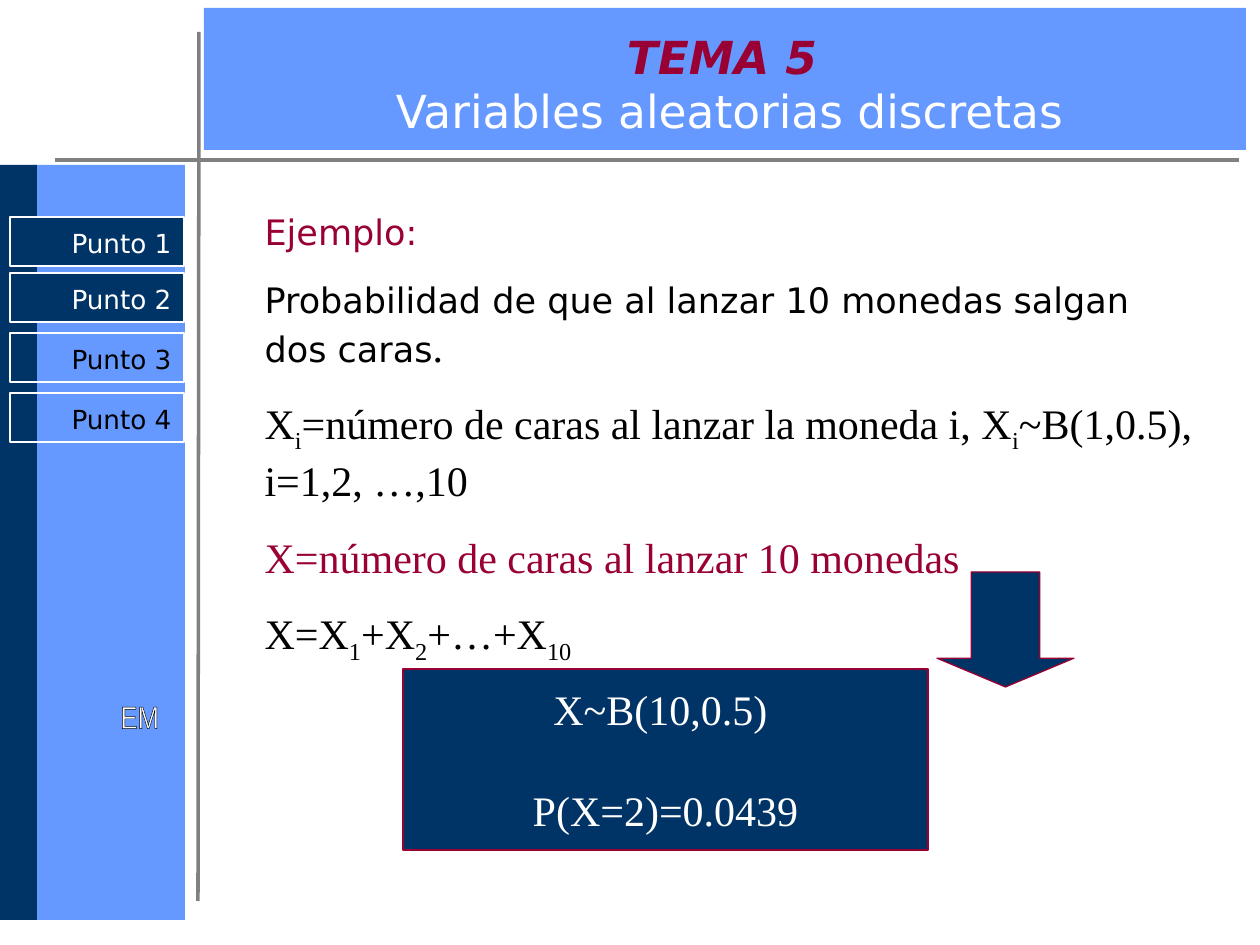
from dataclasses import dataclass
from typing import Optional

from lxml.etree import SubElement
from pptx import Presentation
from pptx.dml.color import RGBColor
from pptx.enum.shapes import MSO_CONNECTOR, MSO_SHAPE
from pptx.enum.text import MSO_ANCHOR, MSO_AUTO_SIZE, PP_ALIGN
from pptx.oxml.ns import qn
from pptx.util import Emu, Pt

PX = 914400 / 126  # EMU in one px
COLORS = {
    "navy": "003366",
    "blue": "6699FF",
    "wine": "990033",
    "gray": "808080",
    "white": "FFFFFF",
    "black": "000000",
}
SANS, SERIF, NARROW = "DejaVu Sans", "Times New Roman", "Arial Narrow"


@dataclass(frozen=True)
class Box:
    x: int
    y: int
    w: int
    h: int
    fill: Optional[str] = None
    line: Optional[str] = None
    kind: MSO_SHAPE = MSO_SHAPE.RECTANGLE


@dataclass(frozen=True)
class Span:
    text: str
    size: int = 24
    font: str = SERIF
    color: str = "black"
    bold: bool = False
    sub: bool = False


@dataclass(frozen=True)
class Button:
    text: str
    y: int
    fill: Optional[str]
    color: str


def px(n: int) -> Emu:
    return Emu(round(n * PX))


def rgb(name: str) -> RGBColor:
    return RGBColor.from_string(COLORS[name])


def place(sp, x: int, y: int, w: int, h: int) -> None:
    sp.left, sp.top, sp.width, sp.height = px(x), px(y), px(w), px(h)


def add_box(s, box: Box):
    sp = s.shapes.add_shape(box.kind, px(box.x), px(box.y), px(box.w), px(box.h))
    sp.shadow.inherit = False
    if box.fill:
        sp.fill.solid()
        sp.fill.fore_color.rgb = rgb(box.fill)
    else:
        sp.fill.background()
    if box.line:
        sp.line.color.rgb = rgb(box.line)
        sp.line.width = Pt(0.75)
    else:
        sp.line.fill.background()
    return sp


def add_rule(s, x1: int, y1: int, x2: int, y2: int) -> None:
    rule = s.shapes.add_connector(MSO_CONNECTOR.STRAIGHT, px(x1), px(y1), px(x2), px(y2))
    rule.line.color.rgb = rgb("gray")
    rule.line.width = Pt(2)
    SubElement(rule._element.spPr, qn("a:effectLst"))


def add_span(p, span: Span):
    r = p.add_run()
    r.text = span.text
    f = r.font
    f.size, f.name = Pt(span.size), span.font
    f.bold = f.italic = span.bold
    f.color.rgb = rgb(span.color)
    if span.sub:
        f._element.set("baseline", "-25000")
    return r


def add_button(s, b: Button) -> None:
    sp = add_box(s, Box(10, b.y, 174, 49, b.fill, "white"))
    tf = sp.text_frame
    tf.vertical_anchor = MSO_ANCHOR.TOP
    tf.margin_top = px(10)
    p = tf.paragraphs[0]
    p.alignment = PP_ALIGN.RIGHT
    p.space_before = Pt(9.4)
    add_span(p, Span(b.text, 15, SANS, b.color))


def sub(text: str) -> Span:
    return Span(text, sub=True)


# Sidebar, banner and rules
PANELS = [
    Box(34, 165, 151, 755, "blue"),
    Box(0, 165, 37, 755, "navy"),
    Box(204, 8, 1042, 142, "blue"),
]
RULES = [(55, 160, 1239, 160), (198, 901, 199, 32)]
BUTTONS = [
    Button("Punto 1", 217, "navy", "white"),
    Button("Punto 2", 273, "navy", "white"),
    Button("Punto 3", 333, None, "black"),
    Button("Punto 4", 393, None, "black"),
]
BODY = [
    [Span("Ejemplo:", 20, SANS, "wine")],
    [Span("Probabilidad de que al lanzar 10 monedas salgan dos caras", 20, SANS), Span(".")],
    [Span("X"), sub("i"), Span("=número de caras al lanzar la moneda i, X"), sub("i"),
     Span("~B(1,0.5), i=1,2, …,10")],
    [Span("X=número de caras al lanzar 10 monedas", color="wine")],
    [Span("X=X"), sub("1"), Span("+X"), sub("2"), Span("+…+X"), sub("10")],
]
RESULTS = ["X~B(10,0.5) ", "P(X=2)=0.0439"]


def fill_title(title) -> None:
    place(title, 216, 35, 1028, 97)
    tf = title.text_frame
    tf.word_wrap = True
    tf.auto_size = MSO_AUTO_SIZE.NONE
    tf.vertical_anchor = MSO_ANCHOR.MIDDLE
    p = tf.paragraphs[0]
    p.alignment = PP_ALIGN.CENTER
    add_span(p, Span("TEMA 5 ", 26, SANS, "wine", bold=True))
    p.add_line_break()
    add_span(p, Span("Variables aleatorias discretas", 26, SANS, "white"))


def fill_body(body) -> None:
    place(body, 252, 204, 954, 621)
    tf = body.text_frame
    tf.word_wrap = True
    tf.auto_size = MSO_AUTO_SIZE.SHAPE_TO_FIT_TEXT
    for i, spans in enumerate(BODY):
        p = tf.add_paragraph() if i else tf.paragraphs[0]
        p.line_spacing = 1.0
        p.space_before = Pt(15 if i else 12.5)
        pPr = p._p.get_or_add_pPr()
        pPr.set("marL", "0")
        pPr.set("indent", "0")
        SubElement(pPr, qn("a:buNone"))
        for span in spans:
            add_span(p, span)


def add_initials(s) -> None:
    tf = s.shapes.add_textbox(px(108), px(691), px(64), px(54)).text_frame
    tf.word_wrap = False
    r = add_span(tf.paragraphs[0], Span("EM", 18, NARROW, "white"))
    # Thin black outline around the letters
    rPr = r.font._element
    ln = rPr.makeelement(qn("a:ln"), {"w": str(Pt(0.75))})
    fill = SubElement(ln, qn("a:solidFill"))
    SubElement(fill, qn("a:srgbClr"), val=COLORS["black"])
    rPr.insert(0, ln)


def add_result(s) -> None:
    tf = add_box(s, Box(403, 669, 525, 181, "navy", "wine")).text_frame
    tf.word_wrap = False
    tf.vertical_anchor = MSO_ANCHOR.MIDDLE
    for i, text in enumerate(RESULTS):
        p = tf.add_paragraph() if i else tf.paragraphs[0]
        p.alignment = PP_ALIGN.CENTER
        p.space_before = Pt(29 if i else 0)
        add_span(p, Span(text, color="white"))


def main() -> None:
    prs = Presentation()
    prs.slide_width, prs.slide_height = px(1260), px(945)
    s = prs.slides.add_slide(prs.slide_layouts[1])
    title, body = s.shapes.title, s.placeholders[1]

    for panel in PANELS:
        add_box(s, panel)
    for rule in RULES:
        add_rule(s, *rule)
    for button in BUTTONS:
        add_button(s, button)
    add_initials(s)

    fill_body(body)
    add_box(s, Box(937, 572, 137, 115, "navy", "wine", MSO_SHAPE.DOWN_ARROW)).adjustments[1] = 0.25
    add_result(s)

    # The title lies in front of the banner
    fill_title(title)
    s.shapes._spTree.append(title._element)
    prs.save("out.pptx")


if __name__ == "__main__":
    main()
